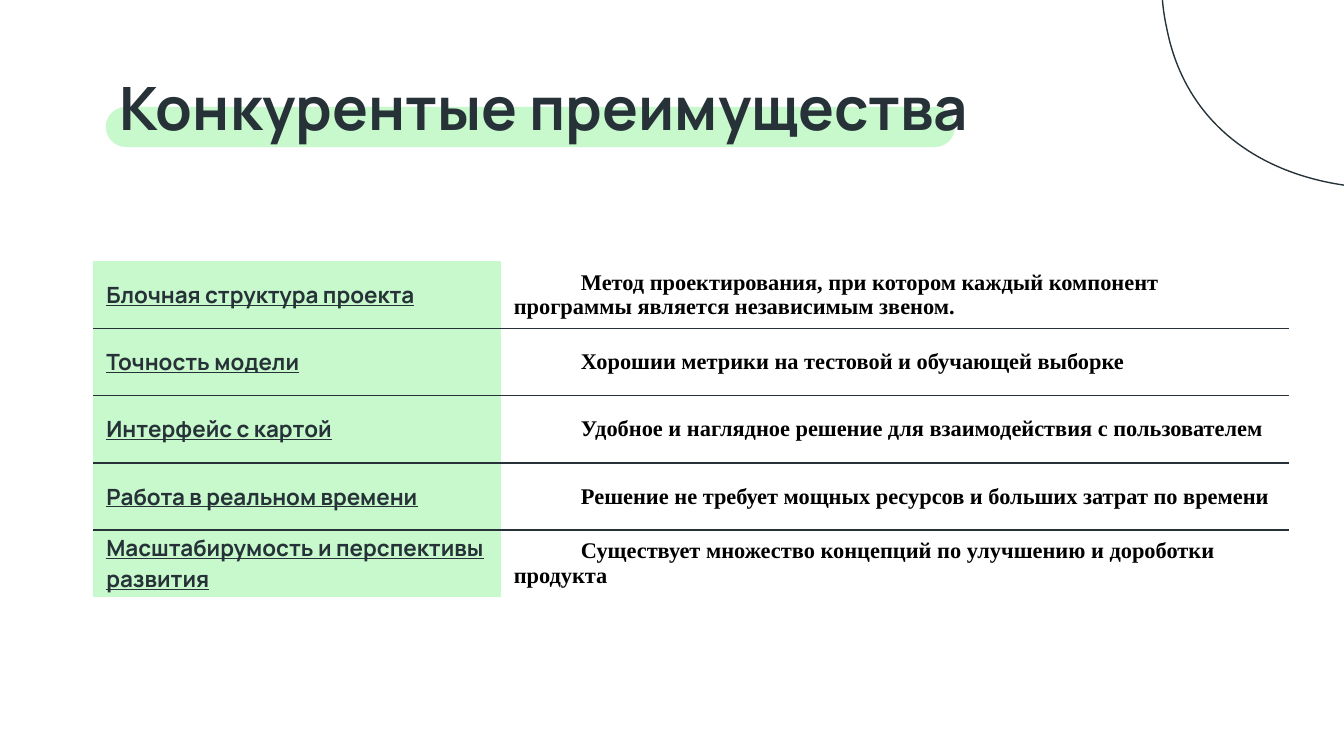
from lxml.etree import SubElement as Sub
from pptx import Presentation
from pptx.dml.color import RGBColor
from pptx.enum.shapes import MSO_SHAPE as Kind
from pptx.enum.text import MSO_ANCHOR as Anchor, MSO_AUTO_SIZE as Fit, PP_ALIGN as Align
from pptx.oxml.ns import qn
from pptx.util import Cm, Pt

INK = RGBColor(0x26, 0x32, 0x38)
MINT = RGBColor(0xC7, 0xF9, 0xCC)
BLACK = RGBColor(0, 0, 0)
SANS, SERIF = "Manrope", "Times New Roman"
PLAIN = "{2D5ABB26-0587-4C30-8999-92F81FD0307C}"
THIN = Pt(0.75)

START = (30.76, -4.7)
CURVES = [
    ((30.56, -4.7), (30.3, -4.62), (30.05, -4.5)),
    ((29.06, -3.99), (28.98, -2.87), (27.64, -2.82)),
    ((27.51, -2.79), (27.38, -2.79), (27.25, -2.79)),
    ((26.62, -2.79), (26.01, -2.87), (25.45, -2.87)),
    ((24.77, -2.87), (24.08, -2.77), (23.32, -2.36)),
    ((22.05, -1.68), (21.79, -0.66), (22.05, 0.53)),
    ((22.45, 2.59), (24.23, 3.56), (26.26, 3.56)),
    ((27.15, 3.56), (28.07, 3.38), (28.93, 3.05)),
    ((31.72, 1.98), (33.02, -0.51), (32.39, -2.97)),
    ((32.21, -3.71), (31.67, -4.7), START),
]

ROWS = [
    ("Блочная структура проекта",
     "Метод проектирования, при котором каждый компонент программы является независимым звеном."),
    ("Точность модели",
     "Хорошии метрики на тестовой и обучающей выборке"),
    ("Интерфейс с картой",
     "Удобное и наглядное решение для взаимодействия с пользователем"),
    ("Работа в реальном времени",
     "Решение не требует мощных ресурсов и больших затрат по времени"),
    ("Масштабирумость и перспективы развития",
     "Существует множество концепций по улучшению и дороботки продукта"),
]


def set_font(para, name, size, color):
    font = para.font
    font.name, font.size, font.bold = name, Pt(size), True
    font.color.rgb = color
    return font


def bend(shape):
    lines = list(shape._element.iter(qn("a:lnTo")))
    for n in range(0, len(lines), 3):
        curve = lines[n].makeelement(qn("a:cubicBezTo"))
        lines[n].addprevious(curve)
        for line in lines[n:n + 3]:
            curve.append(line[0])
            line.getparent().remove(line)


def add_blob(slide):
    dots = [(Cm(x), Cm(y)) for curve in CURVES for x, y in curve]
    pen = slide.shapes.build_freeform(Cm(START[0]), Cm(START[1]))
    pen.add_line_segments(dots, close=True)
    blob = pen.convert_to_shape()
    bend(blob)
    blob.shadow.inherit = False
    blob.fill.background()
    blob.line.color.rgb = INK
    blob.line.width = THIN
    return blob


def add_pill(slide):
    pill = slide.shapes.add_shape(Kind.ROUNDED_RECTANGLE, Cm(2), Cm(2.02), Cm(16.05), Cm(0.76))
    pill.adjustments[0] = 0.5
    pill.shadow.inherit = False
    pill.fill.solid()
    pill.fill.fore_color.rgb = MINT
    pill.line.fill.background()
    return pill


def set_title(slide, text):
    title = slide.shapes.title
    title.left, title.top, title.width, title.height = Cm(2.01), Cm(1.09), Cm(21.41), Cm(1.7)
    frame = title.text_frame
    frame.text = text
    frame.word_wrap = True
    frame.auto_size = Fit.NONE
    frame.vertical_anchor = Anchor.TOP
    frame.margin_left = frame.margin_right = Cm(0.25)
    frame.margin_top = frame.margin_bottom = Cm(0.25)
    para = frame.paragraphs[0]
    para.alignment = Align.LEFT
    para.line_spacing = 1.0
    set_font(para, SANS, 32, INK)
    return title


def add_rule(cell, side):
    line = Sub(cell._tc.get_or_add_tcPr(), qn(f"a:ln{side}"), w=str(THIN))
    fill = Sub(line, qn("a:solidFill"))
    Sub(fill, qn("a:srgbClr"), val=str(INK))


def fill_cell(cell, text):
    cell.text = text
    cell.vertical_anchor = Anchor.MIDDLE
    cell.margin_left = cell.margin_right = Cm(0.25)
    cell.margin_top = cell.margin_bottom = 0
    return cell.text_frame.paragraphs[0]


def add_grid(slide):
    frame = slide.shapes.add_table(len(ROWS), 2, Cm(1.76), Cm(4.94), Cm(22.61), Cm(6.35))
    grid = frame.table
    grid.first_row = grid.horz_banding = False
    grid._tbl.tblPr.find(qn("a:tableStyleId")).text = PLAIN
    grid.columns[0].width, grid.columns[1].width = Cm(7.7), Cm(14.91)
    for n, (name, note) in enumerate(ROWS):
        grid.rows[n].height = Cm(1.27)
        left, right = grid.cell(n, 0), grid.cell(n, 1)
        for cell in (left, right):
            if n > 0:
                add_rule(cell, "T")
            if n < len(ROWS) - 1:
                add_rule(cell, "B")
        left.fill.solid()
        left.fill.fore_color.rgb = MINT
        right.fill.background()
        set_font(fill_cell(left, name), SANS, 12, INK).underline = True
        para = fill_cell(right, note)
        props = para._p.get_or_add_pPr()
        props.set("marL", "0")
        props.set("indent", str(Cm(1.27)))
        set_font(para, SERIF, 12, BLACK)


def main():
    deck = Presentation()
    deck.slide_width, deck.slide_height = Cm(25.4), Cm(14.29)
    slide = deck.slides.add_slide(deck.slide_layouts[5])
    title = set_title(slide, "Конкурентые преимущества")
    for shape in (add_pill(slide), add_blob(slide)):
        title._element.addprevious(shape._element)
    add_grid(slide)
    deck.save("out.pptx")


if __name__ == "__main__":
    main()
